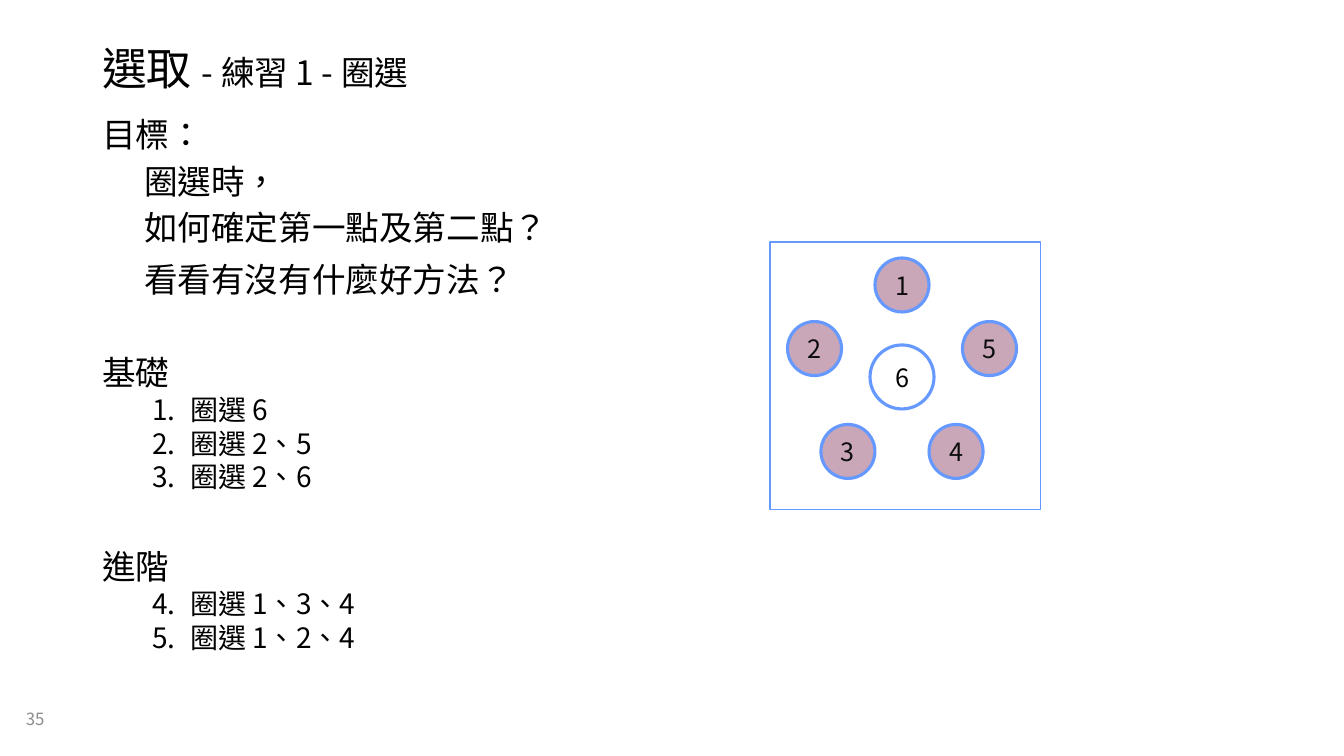
"""Build the selection exercise slide with its ring of numbered circles."""
import math

from lxml import etree
from pptx import Presentation
from pptx.dml.color import RGBColor
from pptx.enum.shapes import MSO_SHAPE
from pptx.enum.text import MSO_ANCHOR, MSO_AUTO_SIZE, PP_ALIGN
from pptx.oxml.ns import qn
from pptx.util import Pt

PX = 914400 / 100.8
FONT = "Noto Sans CJK SC"
COLORS = {"text": "000000", "digit": "0D0D0D", "page": "8C8C8C",
          "line": "6699FF", "white": "FFFFFF", "plum": "954F72"}
RECTANGLE, OVAL = MSO_SHAPE.RECTANGLE, MSO_SHAPE.OVAL
MIDDLE, TOP = MSO_ANCHOR.MIDDLE, MSO_ANCHOR.TOP
LEFT, CENTER = PP_ALIGN.LEFT, PP_ALIGN.CENTER
NO_AUTOFIT = MSO_AUTO_SIZE.NONE


def style(para, size, color, align=LEFT):
    para.alignment = align
    para.font.size = Pt(size)
    para.font.name = FONT
    para.font.color.rgb = RGBColor.from_string(COLORS[color])
    defaults = para._p.pPr.find(qn("a:defRPr"))
    defaults.set("lang", "zh-TW")
    etree.SubElement(defaults, qn("a:ea"), typeface=FONT)
    for span in para.runs:
        span._r.get_or_add_rPr().set("lang", "zh-TW")


def add_outline(kind, left, top, width, height, fill, line_width):
    shape = page.shapes.add_shape(kind, *[round(v * PX) for v in (left, top, width, height)])
    shape.shadow.inherit = False
    shape.fill.solid()
    shape.fill.fore_color.rgb = RGBColor.from_string(COLORS[fill])
    color = shape.fill._xPr.find(qn("a:solidFill"))[0]
    etree.SubElement(color, qn("a:alpha"), val="50000")
    shape.line.color.rgb = RGBColor.from_string(COLORS["line"])
    shape.line.width = Pt(line_width)
    return shape


deck = Presentation()
deck.slide_width, deck.slide_height = round(1344 * PX), round(756 * PX)
page = deck.slides.add_slide(deck.slide_layouts[1])
title, body = page.shapes.title, page.placeholders[1]
number = page.shapes.add_textbox(0, 0, 0, 0)

for box, bounds, anchor in [
    (title, (92, 40, 1159, 62), MIDDLE),
    (body, (92, 117, 572, 548), TOP),
    (number, (16, 699, 68, 39), MIDDLE),
]:
    box.left, box.top, box.width, box.height = [round(v * PX) for v in bounds]
    box.text_frame.word_wrap = True
    box.text_frame.auto_size = NO_AUTOFIT
    box.text_frame.vertical_anchor = anchor

para = title.text_frame.paragraphs[0]
para.line_spacing = 0.9
para.add_run().text = "選取 "
span = para.add_run()
span.text = "- 練習 1 - 圈選"
span.font.size = Pt(24)
style(para, 32, "text")

number.text_frame.text = "35"
style(number.text_frame.paragraphs[0], 12, "page")

HEADING, DETAIL, ITEM = (0, 0, 24), (42, 0, 24), (88, -38, 20)
lines = [
    ("目標：", HEADING, 0, 0.8, None),
    ("圈選時，", DETAIL, 10, 0.8, None),
    ("如何確定第一點及第二點？", DETAIL, 10, 0.8, None),
    ("看看有沒有什麼好方法？", DETAIL, 0, 1.3, None),
    ("基礎", HEADING, 43, 0.8, None),
    ("圈選 6", ITEM, 5, 0.8, 1),
    ("圈選 2、5", ITEM, 5, 0.8, 1),
    ("圈選 2、6", ITEM, 5, 0.8, 1),
    ("進階", HEADING, 43, 0.8, None),
    ("圈選 1、3、4", ITEM, 5, 0.8, 4),
    ("圈選 1、2、4", ITEM, 5, 0.8, 4),
]
body.text_frame.text = "\n".join(line[0] for line in lines)
for para, (_, (margin, indent, size), before, spacing, start) in zip(body.text_frame.paragraphs, lines):
    para.level = 1 if start else 0
    para.space_before = Pt(before)
    para.line_spacing = spacing
    properties = para._p.get_or_add_pPr()
    properties.set("marL", str(round(margin * PX)))
    properties.set("indent", str(round(indent * PX)))
    if start:
        etree.SubElement(properties, qn("a:buFont"), typeface="+mj-lt")
        etree.SubElement(properties, qn("a:buAutoNum"), type="arabicPeriod", startAt=str(start))
    else:
        etree.SubElement(properties, qn("a:buNone"))
    style(para, size, "text")

add_outline(RECTANGLE, 770, 242, 271, 268, "white", 0.75)

CENTER_X, CENTER_Y, RADIUS = 902, 377, 92
circles = [("6", CENTER_X, CENTER_Y, 64, "white", "text")]
for step in range(5):
    angle = math.radians(72 * step)
    x = CENTER_X - RADIUS * math.sin(angle)
    y = CENTER_Y - RADIUS * math.cos(angle)
    circles.append((str(step + 1), x, y, 54, "plum", "digit"))

for label, x, y, size, fill, color in circles:
    circle = add_outline(OVAL, x - size / 2, y - size / 2, size, size, fill, 2.25)
    circle.text_frame.word_wrap = False
    circle.text_frame.vertical_anchor = MIDDLE
    circle.text_frame.text = label
    style(circle.text_frame.paragraphs[0], 18, color, CENTER)

deck.save("out.pptx")
